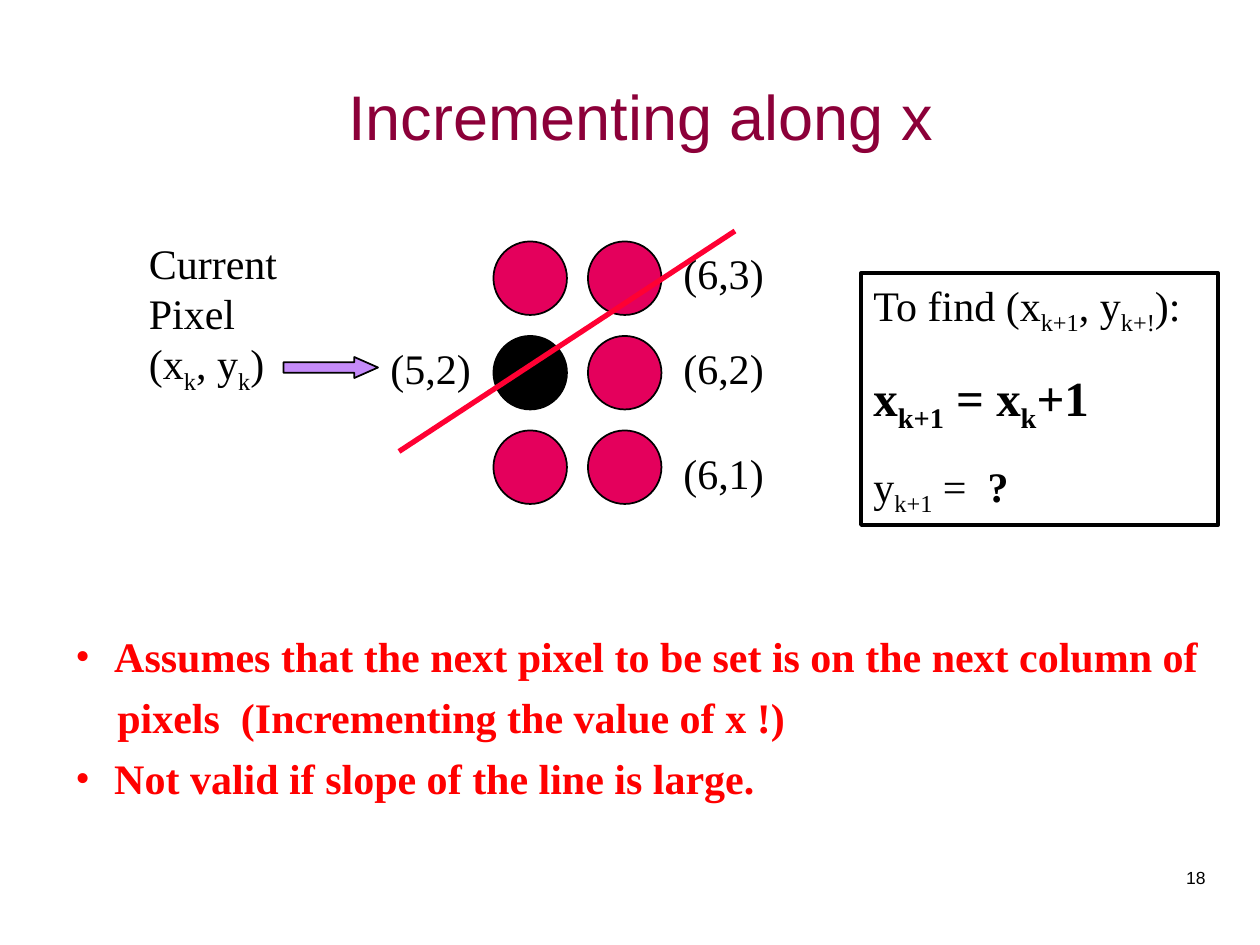
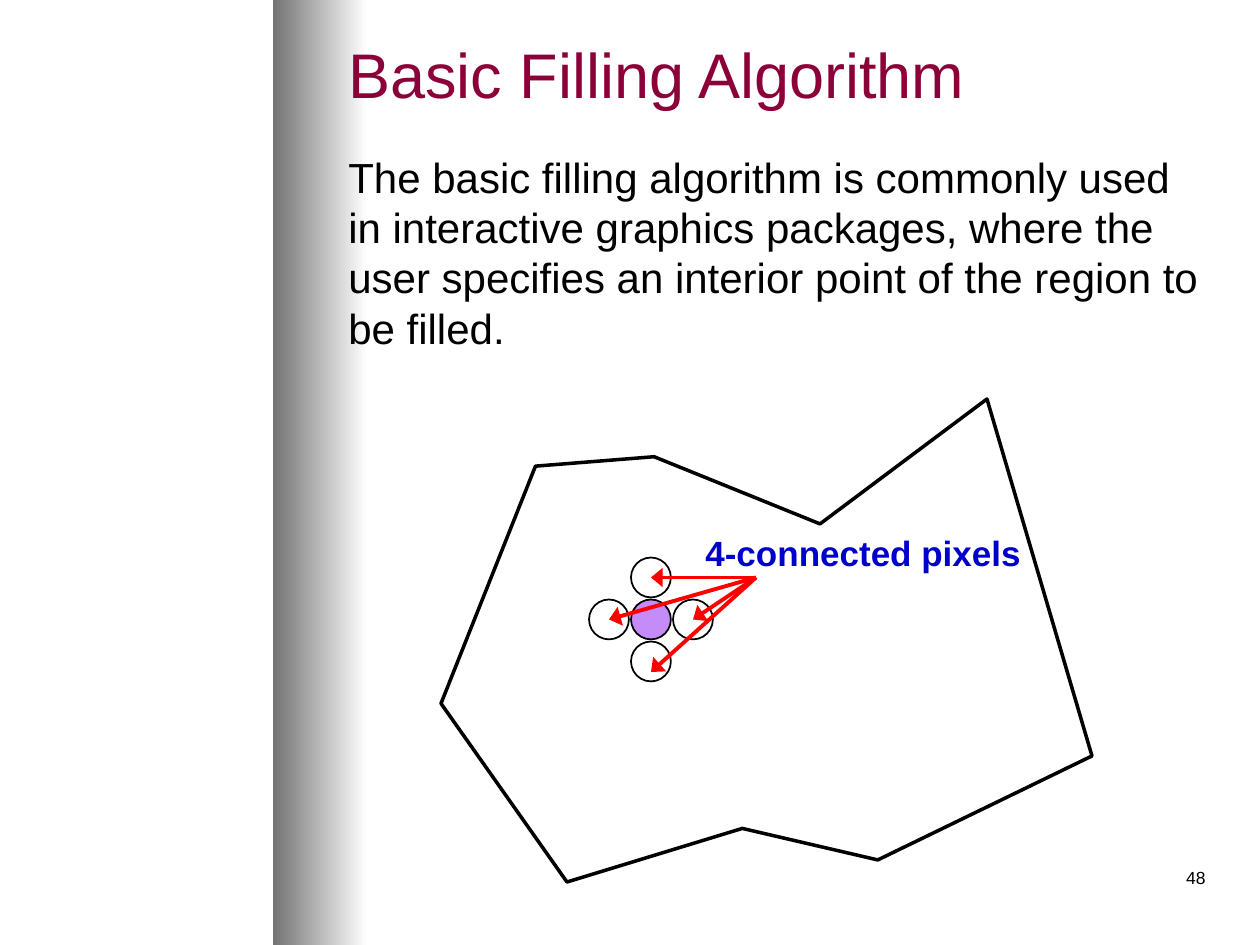
from lxml import etree
from pptx import Presentation
from pptx.dml.color import RGBColor
from pptx.enum.shapes import MSO_CONNECTOR, MSO_SHAPE
from pptx.enum.text import MSO_ANCHOR, PP_ALIGN
from pptx.oxml.ns import qn
from pptx.util import Emu, Pt

PX = 7620
STRAIGHT = MSO_CONNECTOR.STRAIGHT
OVAL, RECT, ARROW = MSO_SHAPE.OVAL, MSO_SHAPE.RECTANGLE, MSO_SHAPE.RIGHT_ARROW
TOP, MIDDLE = MSO_ANCHOR.TOP, MSO_ANCHOR.MIDDLE
LEFT, RIGHT = PP_ALIGN.LEFT, PP_ALIGN.RIGHT

BLACK, RED, LINE_RED = "000000", "FF0000", "FF0033"
MAROON, PINK, LILAC, BLUE = "8C0039", "E4005C", "C58BF9", "0000CC"
WHITE, GREY = "FFFFFF", "737373"

SERIF = {"name": "Times New Roman", "size": 24, "color": BLACK}
SANS = {**SERIF, "name": "Arial"}
TITLE = {**SANS, "size": 36, "color": MAROON}
PAGE = {**SANS, "size": 10}
LABEL = {**SANS, "size": 20, "color": BLUE, "bold": True}
NOTE = {**SERIF, "color": RED, "bold": True}
STRONG = {**SERIF, "bold": True}
RESULT = {**STRONG, "size": 28}


def px(*lengths):
    """Turn whole px into EMU lengths."""
    return [Emu(n * PX) for n in lengths]


def rgb(value):
    """Turn a hex string into a colour."""
    return RGBColor.from_string(value)


def add_run(p, text, style, subscript=False):
    """Add one formatted run to a paragraph."""
    r = p.add_run()
    r.text = text
    for key, value in style.items():
        if key == "color":
            r.font.color.rgb = rgb(value)
        else:
            setattr(r.font, key, Pt(value) if key == "size" else value)
    if subscript:
        r._r.get_or_add_rPr().set("baseline", "-25000")


def add_paragraph(tf, pieces, first, before=0, align=LEFT):
    """Write (text, style) pieces, with subscripts between bars."""
    p = tf.paragraphs[0] if first else tf.add_paragraph()
    p.alignment, p.space_before = align, Pt(before)
    for text, style in pieces:
        for i, part in enumerate(text.split("|")):
            if part:
                add_run(p, part, style, subscript=i % 2 == 1)


def set_bullet(p, indent, hanging):
    """Indent a paragraph, with a red bullet when it hangs."""
    pPr = p._p.get_or_add_pPr()
    pPr.set("marL", str(indent * PX))
    if hanging:
        pPr.set("indent", str(-indent * PX))
        color = etree.SubElement(pPr, qn("a:buClr"))
        etree.SubElement(color, qn("a:srgbClr"), val=RED)
        etree.SubElement(pPr, qn("a:buFont"), typeface=NOTE["name"])
        etree.SubElement(pPr, qn("a:buChar"), char="•")


def add_text(slide, box, text, style, anchor=TOP, align=LEFT, wrap=True):
    """Add a text box with one style and a paragraph per line."""
    tf = slide.shapes.add_textbox(*px(*box)).text_frame
    tf.word_wrap, tf.vertical_anchor = wrap, anchor
    for i, line in enumerate(text.split("\n")):
        add_paragraph(tf, [(line, style)], i == 0, align=align)
    return tf


def outline(s, fill=None, width=1):
    """Give a shape a black outline and an optional fill."""
    s.shadow.inherit = False
    if fill:
        s.fill.solid()
        s.fill.fore_color.rgb = rgb(fill)
    else:
        s.fill.background()
    s.line.color.rgb, s.line.width = rgb(BLACK), Pt(width)
    return s


def add_shape(slide, kind, box, fill=None, width=1):
    """Add an outlined preset shape."""
    return outline(slide.shapes.add_shape(kind, *px(*box)), fill, width)


def add_line(slide, start, end, color, width, arrow=False):
    """Add a straight line, with a wide arrowhead at its end if asked."""
    s = slide.shapes.add_connector(STRAIGHT, *px(*start, *end))
    s.line.color.rgb, s.line.width = rgb(color), Pt(width)
    if arrow:
        ln = s._element.spPr.find(qn("a:ln"))
        etree.SubElement(ln, qn("a:tailEnd"), type="triangle", w="lg")
    etree.SubElement(s._element.spPr, qn("a:effectLst"))


def add_polygon(slide, points, width):
    """Add a closed unfilled outline."""
    builder = slide.shapes.build_freeform(*points[0], scale=PX)
    builder.add_line_segments(points[1:], close=True)
    outline(builder.convert_to_shape(), width=width)


def add_gradient_band(slide, box):
    """Add a vertical band fading from grey to white."""
    s = slide.shapes.add_shape(RECT, *px(*box))
    s.shadow.inherit = False
    s.line.fill.background()
    s.fill.gradient()
    s.fill.gradient_angle = 0
    for stop, color in zip(s.fill.gradient_stops, (GREY, WHITE)):
        stop.color.rgb = rgb(color)


def add_frame(slide, title, title_top, page):
    """Add the title and page number that all slides share."""
    add_text(slide, (320, title_top, 840, 160), title, TITLE, anchor=MIDDLE)
    add_text(slide, (910, 820, 250, 60), page, PAGE, align=RIGHT)


def add_pixel_grid(slide):
    """Add the pixel columns, the line through them and their labels."""
    for col in range(2):
        for row in range(3):
            fill = BLACK if (col, row) == (0, 1) else PINK
            add_shape(slide, OVAL, (470 + 90 * col, 230 + 90 * row, 70, 70), fill)
    add_line(slide, (380, 430), (700, 220), LINE_RED, 3)
    labels = (("(5,2)", 360, 320), ("(6,3)", 639, 230),
              ("(6,2)", 639, 320), ("(6,1)", 639, 420))
    for text, left, top in labels:
        add_text(slide, (left, top, 110, 60), text, SERIF, wrap=False)


def add_formula_box(slide):
    """Add the framed equations for the next pixel."""
    tf = add_shape(slide, RECT, (820, 260, 340, 240), width=2.25).text_frame
    tf.word_wrap, tf.vertical_anchor = True, TOP
    formulas = (
        (15, [("To find (x|k+1|, y|k+!|):", SERIF)]),
        (17.5, [("x|k+1| = x|k|+1", RESULT)]),
        (15, [("y|k+1| =  ", SERIF), ("?", STRONG)]),
    )
    for i, (before, pieces) in enumerate(formulas):
        add_paragraph(tf, pieces, i == 0, before)


def build_incrementing(slide):
    """Build the slide on stepping along x."""
    add_pixel_grid(slide)
    add_text(slide, (130, 220, 180, 163), "Current\nPixel\n(x|k|, y|k|)", SERIF)
    add_formula_box(slide)
    arrow = add_shape(slide, ARROW, (270, 340, 90, 20), LILAC)
    arrow.adjustments[1] = 1.13
    notes = "\n".join((
        "Assumes that the next pixel to be set is on the next column of",
        "pixels  (Incrementing the value of x !)",
        "Not valid if slope of the line is large."))
    tf = add_text(slide, (60, 595, 1130, 176), notes, NOTE)
    for p, indent, hanging in zip(tf.paragraphs, (37, 40, 37), (True, False, True)):
        p.space_before = Pt(6)
        set_bullet(p, indent, hanging)
    add_frame(slide, "Incrementing along x", 30, "18")


def build_filling(slide):
    """Build the slide on filling a region from an interior point."""
    add_gradient_band(slide, (260, 0, 90, 900))
    add_text(slide, (320, 138, 840, 204),
             "The basic filling algorithm is commonly used in interactive graphics "
             "packages, where the user specifies an interior point of the region "
             "to be filled.", SANS)
    region = [(540, 840), (420, 670), (510, 444), (623, 435), (781, 499),
              (940, 380), (1040, 720), (836, 819), (707, 789)]
    add_polygon(slide, region, 2)
    for dx, dy in ((0, 0), (0, 1), (1, 0), (-1, 0), (0, -1)):
        fill = LILAC if dx == dy else None
        add_shape(slide, OVAL, (601 + 40 * dx, 571 + 40 * dy, 38, 38), fill)
    add_frame(slide, "Basic Filling Algorithm", -10, "48")
    add_text(slide, (660, 500, 350, 53), "4-connected pixels", LABEL, wrap=False)
    for target in ((620, 550), (580, 590), (620, 640), (660, 590)):
        add_line(slide, (720, 550), target, RED, 2.25, arrow=True)


def main():
    """Build and save both slides."""
    prs = Presentation()
    prs.slide_width, prs.slide_height = px(1200, 900)
    for build in (build_incrementing, build_filling):
        build(prs.slides.add_slide(prs.slide_layouts[6]))
    prs.save("out.pptx")


if __name__ == "__main__":
    main()
